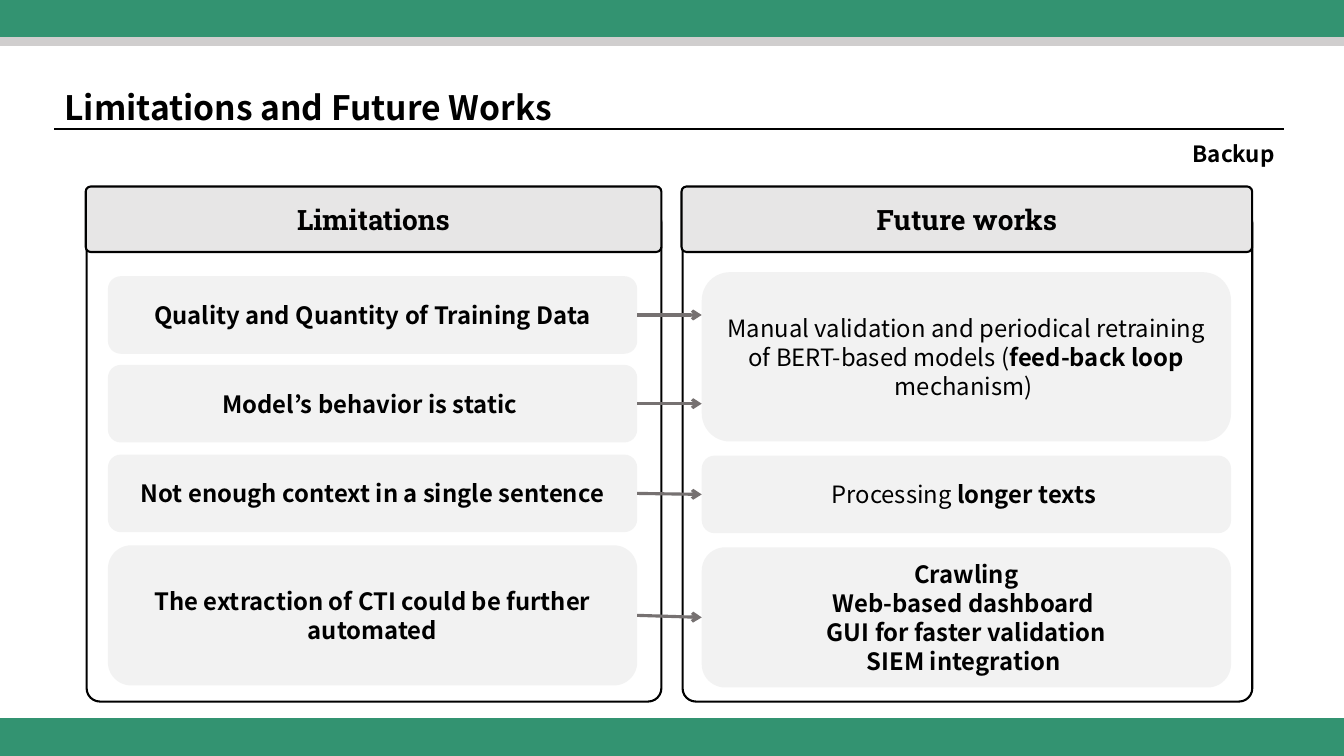
from dataclasses import dataclass

from lxml import etree
from pptx import Presentation
from pptx.dml.color import RGBColor
from pptx.enum.shapes import MSO_CONNECTOR, MSO_SHAPE
from pptx.enum.text import MSO_ANCHOR, PP_ALIGN
from pptx.oxml.ns import qn
from pptx.util import Inches, Pt

RECT, ROUNDED = MSO_SHAPE.RECTANGLE, MSO_SHAPE.ROUNDED_RECTANGLE
STRAIGHT = MSO_CONNECTOR.STRAIGHT
LEFT, CENTER, RIGHT = PP_ALIGN.LEFT, PP_ALIGN.CENTER, PP_ALIGN.RIGHT
MIDDLE = MSO_ANCHOR.MIDDLE
LEFT_SIDE, RIGHT_SIDE = 1, 3


@dataclass(frozen=True)
class Theme:
    green: str = "339371"
    rule_gray: str = "D0CECE"
    header_gray: str = "E7E6E6"
    card_gray: str = "F2F2F2"
    arrow_gray: str = "767171"
    black: str = "000000"
    body_font: str = "Noto Sans CJK JP"
    header_font: str = "Roboto Slab"
    title_size: float = 24
    header_size: float = 20
    card_size: float = 17
    tag_size: float = 16
    title_leading: float = 31
    body_leading: float = 20.5
    outline: float = 1.5
    arrow_width: float = 2.25


THEME = Theme()
SLIDE_WIDTH, SLIDE_HEIGHT = 13.33, 7.5
CARD_WIDTH = 5.25
LIMITATION_LEFT, WORK_LEFT = 1.07, 6.96
PANEL_TOP, PANEL_HEIGHT = 2.08, 4.88
HEADER_TOP, HEADER_HEIGHT = 1.85, 0.65

# heading, left, width
COLUMNS = [("Limitations", 0.85, 5.71), ("Future works", 6.76, 5.66)]

# top, height, lines of (text, bold) runs
LIMITATIONS = [
    (2.74, 0.77, [[("Quality and Quantity of Training Data", True)]]),
    (3.62, 0.77, [[("Model’s behavior is static ", True)]]),
    (4.51, 0.77, [[("Not enough context in a single sentence", True)]]),
    (5.41, 1.39, [[("The extraction of CTI could be further automated", True)]]),
]
FUTURE_WORKS = [
    (2.7, 1.68, [[
        ("Manual validation and periodical retraining of BERT-based models (", False),
        ("feed-back loop ", True),
        ("mechanism) ", False),
    ]]),
    (4.52, 0.77, [[("Processing", False), (" longer texts ", True)]]),
    (5.43, 1.39, [[(line, True)] for line in (
        "Crawling", "Web-based dashboard ", "GUI for faster validation", "SIEM integration ")]),
]


def color(value):
    return RGBColor.from_string(value)


def box(slide):
    """Return a function giving a left, top, width, height in inches."""
    return [Inches(value) for value in slide]


def write(frame, lines, size, align, font=THEME.body_font, leading=None):
    """Fill a text frame with lines, each a list of (text, bold) runs."""
    frame.word_wrap = True
    for index, runs in enumerate(lines):
        paragraph = frame.paragraphs[0] if index == 0 else frame.add_paragraph()
        paragraph.alignment = align
        if leading:
            paragraph.line_spacing = Pt(leading)
        for text, bold in runs:
            run = paragraph.add_run()
            run.text = text
            run.font.name = font
            run.font.size = Pt(size)
            run.font.bold = bold
            run.font.color.rgb = color(THEME.black)


def add_block(slide, preset, bounds, fill=None, line=None, line_width=1, corner=None):
    block = slide.shapes.add_shape(preset, *box(bounds))
    block.shadow.inherit = False
    if fill:
        block.fill.solid()
        block.fill.fore_color.rgb = color(fill)
    else:
        block.fill.background()
    if line:
        block.line.color.rgb = color(line)
        block.line.width = Pt(line_width)
    else:
        block.line.fill.background()
    if corner is not None:
        block.adjustments[0] = corner
    return block


def add_label(slide, bounds, text, size, align, leading):
    label = slide.shapes.add_textbox(*box(bounds))
    write(label.text_frame, [[(text, True)]], size, align, leading=leading)


def add_line(slide, start, end, line_color, width):
    line = slide.shapes.add_connector(STRAIGHT, *box(start + end))
    line.line.color.rgb = color(line_color)
    line.line.width = Pt(width)
    etree.SubElement(line._element.spPr, qn("a:effectLst"))
    return line


def add_arrow(slide, limitation, work, joined):
    """Point from a limitation to its work, level unless joined at both sides."""
    middle = (limitation.top + limitation.height // 2) / Inches(1)
    arrow = add_line(slide, (LIMITATION_LEFT + CARD_WIDTH, middle), (WORK_LEFT, middle),
                     THEME.arrow_gray, THEME.arrow_width)
    arrow.begin_connect(limitation, RIGHT_SIDE)
    if joined:
        arrow.end_connect(work, LEFT_SIDE)
    etree.SubElement(arrow.line._get_or_add_ln(), qn("a:tailEnd"), type="arrow")


def add_card(slide, left, top, height, lines):
    card = add_block(slide, ROUNDED, (left, top, CARD_WIDTH, height), THEME.card_gray)
    card.text_frame.vertical_anchor = MIDDLE
    write(card.text_frame, lines, THEME.card_size, CENTER, leading=THEME.body_leading)
    return card


def add_column(slide, heading, left, width):
    add_block(slide, ROUNDED, (left + 0.01, PANEL_TOP, width - 0.01, PANEL_HEIGHT),
              line=THEME.black, line_width=THEME.outline, corner=0.027)
    header = add_block(slide, ROUNDED, (left, HEADER_TOP, width, HEADER_HEIGHT),
                       THEME.header_gray, THEME.black, THEME.outline, corner=0.077)
    header.text_frame.vertical_anchor = MIDDLE
    write(header.text_frame, [[(heading, True)]], THEME.header_size, CENTER, THEME.header_font)


def main():
    deck = Presentation()
    deck.slide_width, deck.slide_height = Inches(SLIDE_WIDTH), Inches(SLIDE_HEIGHT)
    slide = deck.slides.add_slide(deck.slide_layouts[6])

    for top, height, fill in [(0, 0.37, THEME.green), (0.37, 0.08, THEME.rule_gray),
                              (7.13, 0.37, THEME.green)]:
        add_block(slide, RECT, (0, top, SLIDE_WIDTH, height), fill, fill)

    add_label(slide, (0.54, 0.78, 9.76, 0.5), "Limitations and Future Works",
              THEME.title_size, LEFT, THEME.title_leading)
    add_line(slide, (0.54, 1.28), (12.74, 1.28), THEME.black, THEME.outline)
    add_label(slide, (7.33, 1.32, 5.41, 0.37), "Backup",
              THEME.tag_size, RIGHT, THEME.body_leading)

    for heading, left, width in COLUMNS:
        add_column(slide, heading, left, width)

    limitations = [add_card(slide, LIMITATION_LEFT, *card) for card in LIMITATIONS]
    retraining, longer_texts, automation = [
        add_card(slide, WORK_LEFT, *card) for card in FUTURE_WORKS]

    # The first two limitations share one work, away from the middle of its side
    works = [(retraining, False), (retraining, False), (longer_texts, True), (automation, True)]
    for limitation, (work, joined) in zip(limitations, works):
        add_arrow(slide, limitation, work, joined)

    deck.save("out.pptx")


if __name__ == "__main__":
    main()
